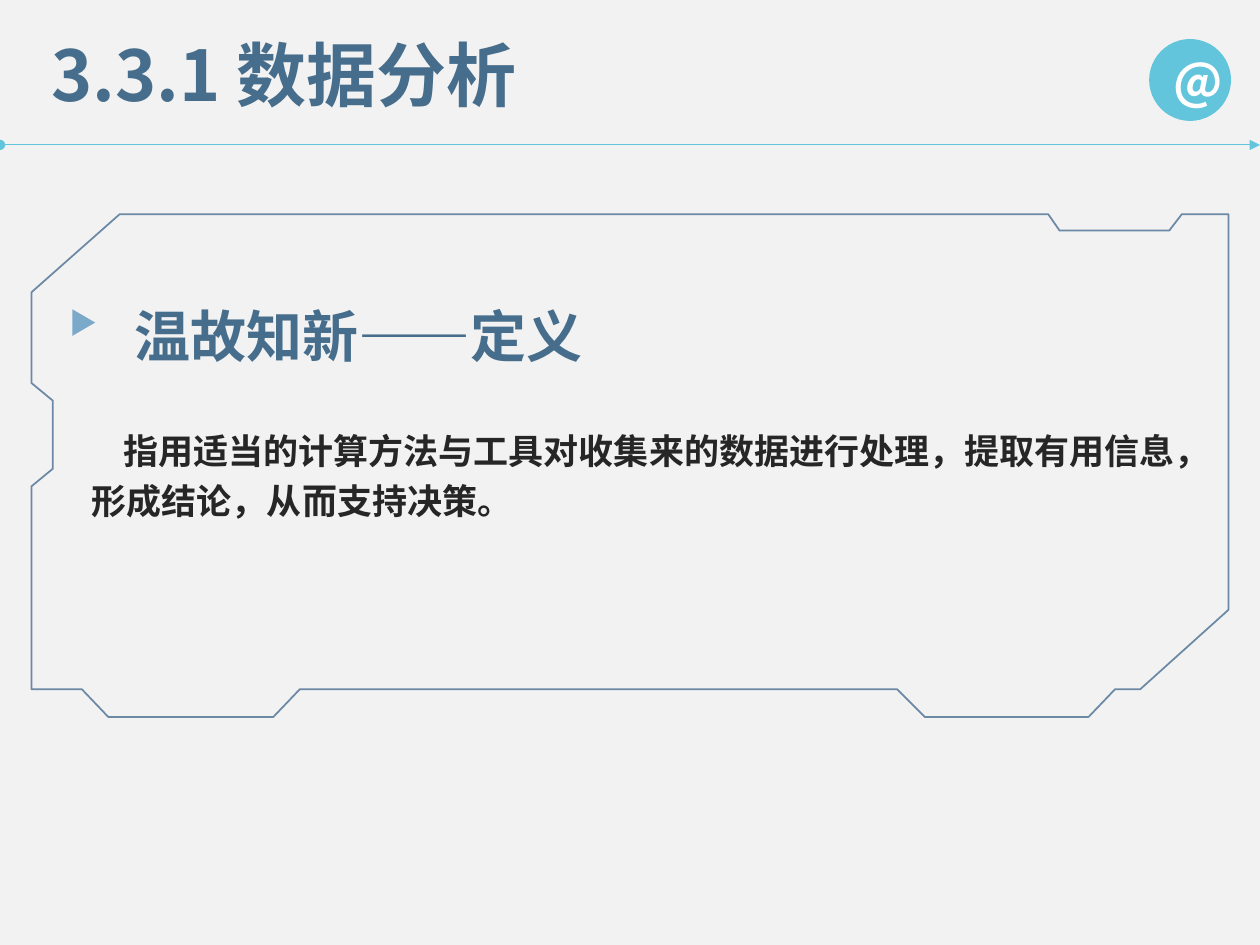
import pptx
import pptx.util
import pptx.dml.color
import pptx.enum.shapes
import pptx.enum.text
import pptx.oxml
import pptx.oxml.ns
from lxml import etree

Inches, Pt = pptx.util.Inches, pptx.util.Pt
SHAPE = pptx.enum.shapes.MSO_SHAPE
ANCHOR = pptx.enum.text.MSO_ANCHOR
ALIGN = pptx.enum.text.PP_ALIGN
qn = pptx.oxml.ns.qn

FONT = "Noto Sans CJK SC"
COLORS = {
    "background": "F2F2F2",
    "accent": "62C5DC",
    "heading": "466E8C",
    "body": "262626",
    "marker": "7BA9CA",
    "frame": "1F4E79",
    "white": "FFFFFF",
}

TITLE = "3.3.1 数据分析"
BADGE = "@"
TEXTS = [
    ("温故知新——定义", (0.97, 2.08, 6.22, 0.91),
     dict(size=32, color="heading", line_spacing=1.5)),
    ("指用适当的计算方法与工具对收集来的数据进行处理，提取有用信息，形成结论，从而支持决策。",
     (0.63, 3.29, 8.86, 0.91),
     dict(size=20, color="body", line_spacing=1.2, space_after=10, indent=0.25)),
]
FRAME = [
    (7.34, 5.69), (8.64, 5.69), (8.85, 5.47), (9.05, 5.47), (9.75, 4.84),
    (9.75, 1.7), (9.38, 1.7), (9.28, 1.83), (8.41, 1.83), (8.32, 1.7),
    (0.95, 1.7), (0.25, 2.32), (0.25, 3.04), (0.42, 3.18), (0.42, 3.72),
    (0.25, 3.86), (0.25, 5.47), (0.65, 5.47), (0.86, 5.69), (2.17, 5.69),
    (2.38, 5.47), (7.12, 5.47),
]


def rgb(name):
    return pptx.dml.color.RGBColor.from_string(COLORS[name])


def inches(values):
    return [Inches(v) for v in values]


def write(sp, text, size, color, align=ALIGN.LEFT, anchor=ANCHOR.TOP,
          line_spacing=1.0, space_after=0, indent=0):
    tf = sp.text_frame
    tf.word_wrap = True
    tf.vertical_anchor = anchor
    p = tf.paragraphs[0]
    p.alignment = align
    p.line_spacing = line_spacing
    p.space_before = Pt(0)
    p.space_after = Pt(space_after)
    if indent:
        p._p.get_or_add_pPr().set("indent", str(Inches(indent)))
    r = p.add_run()
    r.text = text
    r.font.name = FONT
    r.font.size = Pt(size)
    r.font.bold = True
    r.font.color.rgb = rgb(color)
    ea = etree.Element(qn("a:ea"), typeface=FONT)
    r.font._element.find(qn("a:latin")).addnext(ea)


def add_filled(s, kind, box, color):
    sp = s.shapes.add_shape(kind, *inches(box))
    sp.shadow.inherit = False
    sp.fill.solid()
    sp.fill.fore_color.rgb = rgb(color)
    sp.line.fill.background()
    return sp


def add_rule(s):
    rule = s.shapes.add_connector(
        pptx.enum.shapes.MSO_CONNECTOR.STRAIGHT, *inches((0, 1.15, 10, 1.15)))
    rule.line.color.rgb = rgb("accent")
    rule.line.width = Pt(0.5)
    ln = rule.line._get_or_add_ln()
    for tag, kind in (("a:headEnd", "oval"), ("a:tailEnd", "triangle")):
        etree.SubElement(ln, qn(tag), type=kind)
    etree.SubElement(rule._element.spPr, qn("a:effectLst"))


def add_frame(s):
    points = [inches(point) for point in FRAME]
    builder = s.shapes.build_freeform(*points[0])
    builder.add_line_segments(points[1:], close=True)
    frame = builder.convert_to_shape()
    frame.shadow.inherit = False
    frame.fill.background()
    frame.line.color.rgb = rgb("frame")
    frame.line.width = Pt(1)
    color = frame.line._get_or_add_ln().find(".//" + qn("a:srgbClr"))
    etree.SubElement(color, qn("a:alpha"), val="64000")


def main():
    prs = pptx.Presentation()
    prs.slide_width, prs.slide_height = inches((10, 7.5))
    s = prs.slides.add_slide(prs.slide_layouts[5])
    s.background.fill.solid()
    s.background.fill.fore_color.rgb = rgb("background")

    add_rule(s)
    badge = add_filled(s, SHAPE.OVAL, (9.12, 0.31, 0.65, 0.65), "accent")
    write(badge, BADGE, 28, "white", align=ALIGN.CENTER, anchor=ANCHOR.MIDDLE)

    title = s.shapes.title
    title.left, title.top, title.width, title.height = inches((0.31, 0.2, 7.36, 0.77))
    write(title, TITLE, 40, "heading")
    title.text_frame.auto_size = pptx.enum.text.MSO_AUTO_SIZE.NONE

    for text, box, style in TEXTS:
        write(s.shapes.add_textbox(*inches(box)), text, **style)

    marker = add_filled(s, SHAPE.ISOSCELES_TRIANGLE, (0.56, 2.47, 0.21, 0.18), "marker")
    marker.rotation = 90
    add_frame(s)
    prs.save("out.pptx")


if __name__ == "__main__":
    main()
